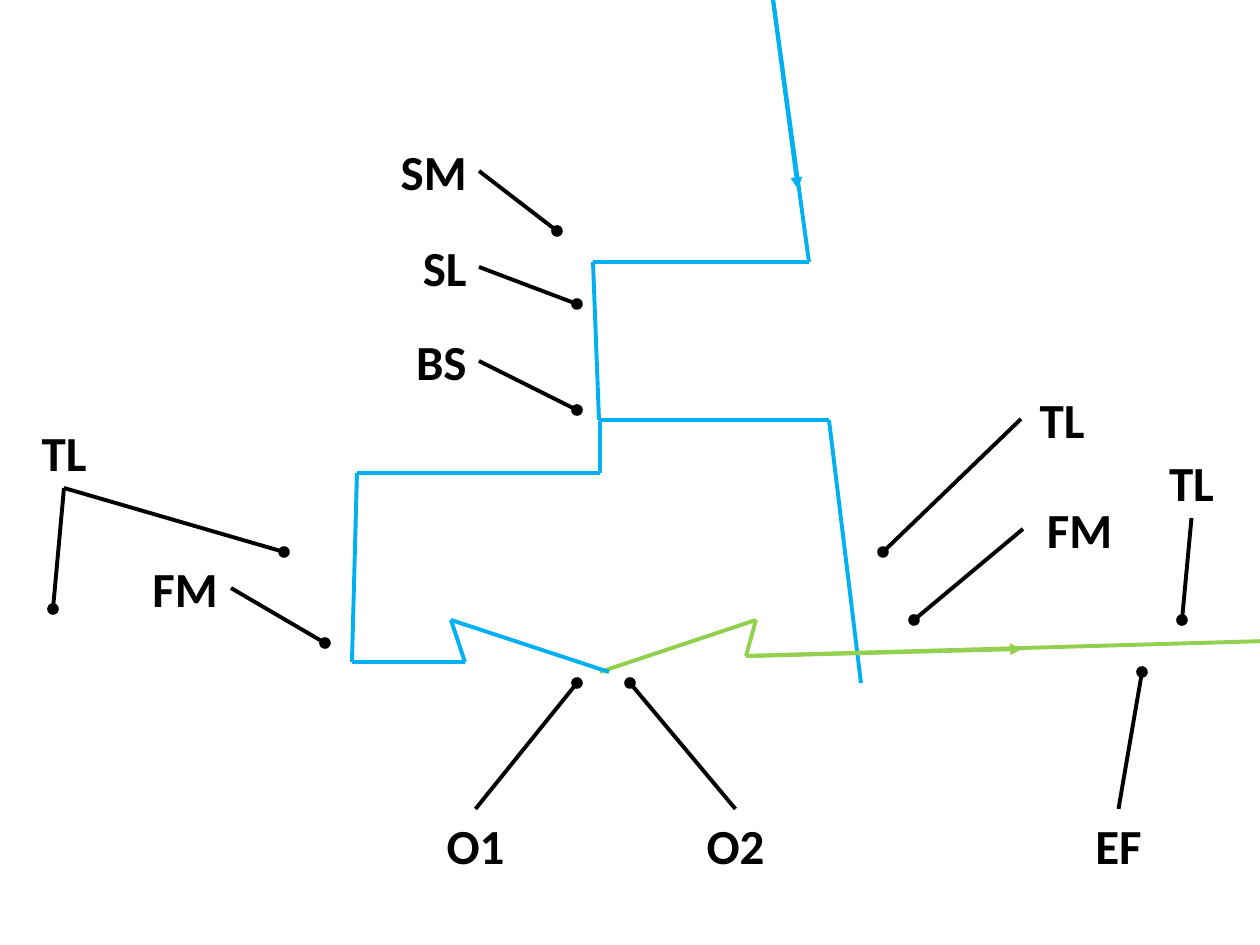
from itertools import pairwise

from lxml.etree import SubElement
from pptx import Presentation
from pptx.dml.color import RGBColor
from pptx.enum.shapes import MSO_CONNECTOR as Connector
from pptx.enum.text import MSO_AUTO_SIZE as AutoSize, PP_ALIGN as Align
from pptx.oxml import parse_xml
from pptx.oxml.ns import nsdecls, qn
from pptx.util import Emu, Pt

COLORS = {"inflow": "00B0F0", "outflow": "92D050", "ink": "000000", "halo": "FFFFFF"}
FONT = "Calibri"
LABEL_HEIGHT = 72
TOP, LEFT, BOTTOM, RIGHT = range(4)

# Corner points of the flow paths
INFLOW_RIGHT = [(766, -53), (809, 262), (593, 262), (599, 420), (829, 420), (861, 683)]
INFLOW_LEFT = [(600, 421), (600, 473), (357, 473), (352, 662), (465, 662),
               (451, 620), (609, 672)]
OUTFLOW = [(1302, 640), (746, 656), (756, 620), (600, 672)]

# Text, left, top, width, alignment, side the leaders start from, leader ends
LABELS = [
    ("SM", 116, 135, 363, Align.RIGHT, RIGHT, [(557, 231)]),
    ("SL", 116, 231, 363, Align.RIGHT, RIGHT, [(577, 304)]),
    ("BS", 116, 325, 363, Align.RIGHT, RIGHT, [(577, 410)]),
    ("O1", 427, 809, 97, Align.CENTER, TOP, [(577, 683)]),
    ("O2", 683, 809, 105, Align.CENTER, TOP, [(630, 683)]),
    ("EF", 937, 809, 363, Align.CENTER, TOP, [(1142, 672)]),
    ("TL", 1155, 446, 73, Align.CENTER, BOTTOM, [(1182, 620)]),
    ("FM", 1023, 493, 113, Align.CENTER, LEFT, [(914, 620)]),
    ("TL", 1021, 383, 82, Align.CENTER, LEFT, [(883, 552)]),
    ("TL", 23, 416, 82, Align.CENTER, BOTTOM, [(53, 609), (284, 552)]),
    ("FM", 139, 552, 92, Align.CENTER, RIGHT, [(325, 643)]),
]


def px(value):
    return Emu(round(value * 914400 / 126))


def add_line(slide, start, end, color, tip=None):
    line = slide.shapes.add_connector(Connector.STRAIGHT, *map(px, (*start, *end)))
    line.line.color.rgb = RGBColor.from_string(COLORS[color])
    line.line.width = Pt(2.25)
    properties = line._element.spPr
    if tip:
        SubElement(properties.find(qn("a:ln")), qn("a:tailEnd"), type=tip)
    SubElement(properties, qn("a:effectLst"))
    return line


def add_path(slide, points, color):
    for start, end in pairwise(points):
        add_line(slide, start, end, color)


def add_label(slide, text, left, top, width, alignment):
    box = slide.shapes.add_textbox(*map(px, (left, top, width, LABEL_HEIGHT)))
    frame = box.text_frame
    frame.word_wrap = True
    frame.auto_size = AutoSize.SHAPE_TO_FIT_TEXT
    frame.text = text
    paragraph = frame.paragraphs[0]
    paragraph.alignment = alignment
    run = paragraph.runs[0]
    run.font.name = FONT
    run.font.size = Pt(28)
    run.font.bold = True
    run.font.color.rgb = RGBColor.from_string(COLORS["ink"])
    # Thin halo around the letters
    outline = parse_xml(
        f'<a:ln {nsdecls("a")} w="{Pt(1.5)}"><a:solidFill>'
        f'<a:srgbClr val="{COLORS["halo"]}"/></a:solidFill></a:ln>'
    )
    run._r.get_or_add_rPr().insert(0, outline)
    return box


def add_leader(slide, label, side, end):
    leader = add_line(slide, end, end, "ink", "oval")
    leader.begin_connect(label, side)


def main():
    presentation = Presentation()
    presentation.slide_width, presentation.slide_height = px(1260), px(945)
    slide = presentation.slides.add_slide(presentation.slide_layouts[6])

    # Flow paths
    add_path(slide, INFLOW_RIGHT, "inflow")
    add_path(slide, OUTFLOW, "outflow")
    add_path(slide, INFLOW_LEFT, "inflow")

    # Labels with their leaders
    for *label_values, side, ends in LABELS:
        label = add_label(slide, *label_values)
        for end in ends:
            add_leader(slide, label, side, end)

    # Direction arrows
    add_line(slide, INFLOW_RIGHT[0], (798, 189), "inflow", "triangle")
    add_line(slide, OUTFLOW[1], (1022, 649), "outflow", "triangle")

    presentation.save("out.pptx")


if __name__ == "__main__":
    main()
